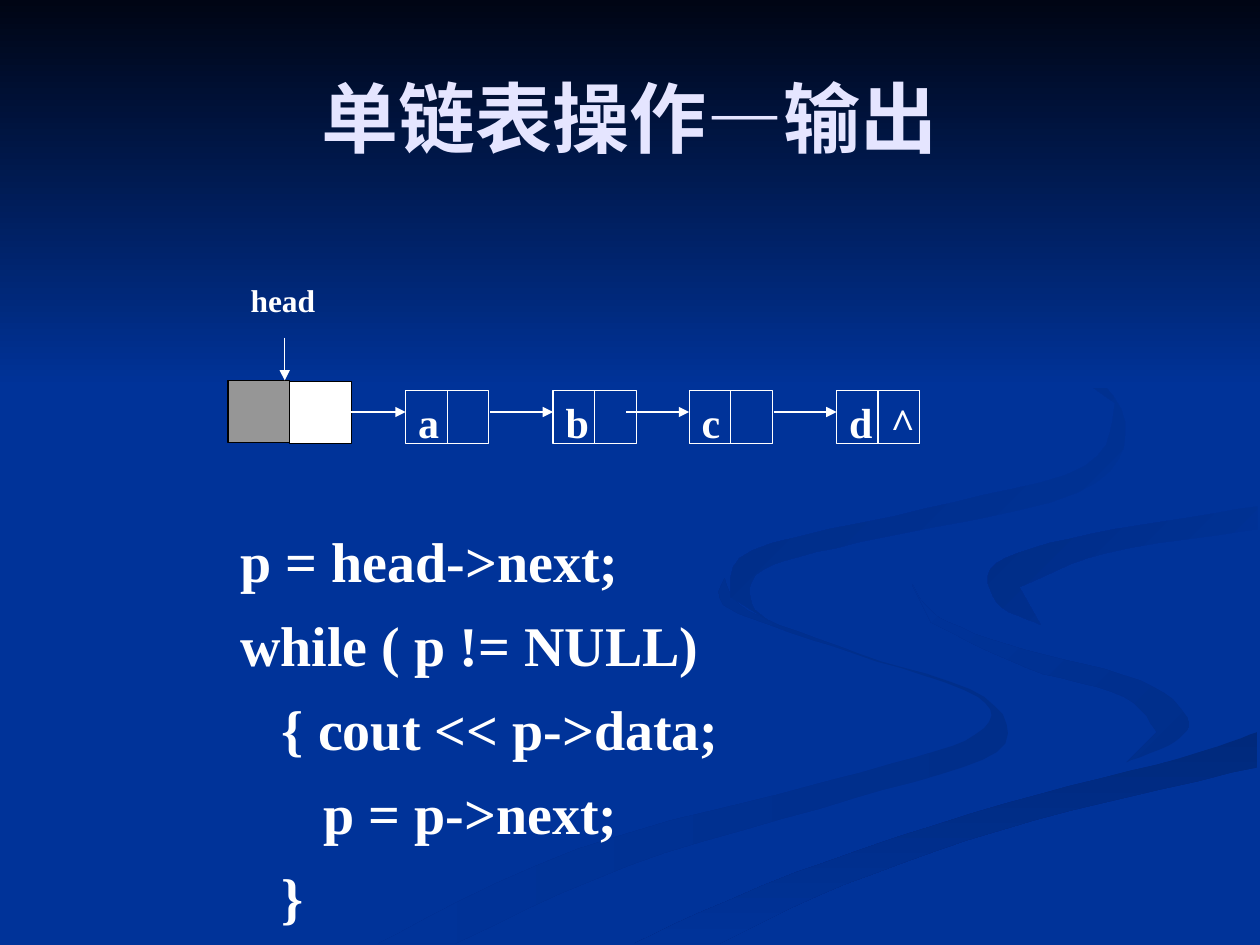
import pptx
import pptx.dml.color
import pptx.enum.shapes
import pptx.enum.text
import pptx.util
from lxml import etree
from pptx.util import Inches

theme = {
    "font": "Times New Roman",
    "blue": "003399", "night": "000514", "title": "E5E5FF",
    "white": "FFFFFF", "black": "000000", "gray": "969696",
    "ribbon_a": "002E8A", "ribbon_b": "00297C",
    "ribbon_c": "002C85", "ribbon_d": "002B81",
    "title_size": 44, "code_size": 32, "node_size": 24, "label_size": 18,
    "line_width": 0.75,
}
rgb = pptx.dml.color.RGBColor.from_string
rectangle = pptx.enum.shapes.MSO_SHAPE.RECTANGLE


def paint(shape, colors, angle=0, line=None):
    """Fill with no colour, one colour or a two-colour gradient."""
    shape.shadow.inherit = False
    if not colors:
        shape.fill.background()
    elif len(colors) == 1:
        shape.fill.solid()
        shape.fill.fore_color.rgb = rgb(theme[colors[0]])
    else:
        shape.fill.gradient()
        shape.fill.gradient_angle = angle
        for stop, color in zip(shape.fill.gradient_stops, colors):
            stop.color.rgb = rgb(theme[color])
    if line:
        shape.line.color.rgb = rgb(theme[line])
        shape.line.width = pptx.util.Pt(theme["line_width"])
    else:
        shape.line.fill.background()


def write(para, text, size, color="white"):
    span = para.add_run()
    span.text = text
    span.font.name = theme["font"]
    span.font.size = pptx.util.Pt(theme[size])
    span.font.bold = True
    span.font.color.rgb = rgb(theme[color])


deck = pptx.Presentation()
deck.slide_width, deck.slide_height = Inches(10), Inches(7.5)
page = deck.slides.add_slide(deck.slide_layouts[5])
page.background.fill.solid()
page.background.fill.fore_color.rgb = rgb(theme["blue"])

# Background ribbons: colours, gradient angle, two edges from tip to tip (inches)
ribbons = [
    (("ribbon_a", "blue"), 180,
     [(5.75, 4.59), (5.94, 4.85), (6.82, 5.19), (7.81, 5.53), (7.91, 5.97),
      (6.76, 6.34), (4.99, 6.87), (3.61, 7.49)],
     [(3, 7.49), (4.58, 6.74), (6.84, 6.13), (7.74, 5.83), (7.76, 5.53),
      (6.79, 5.19), (5.86, 4.87), (5.7, 4.7)]),
    (("ribbon_a", "blue"), 135,
     [(7.24, 4.64), (7.45, 4.9), (8.11, 5.15), (9.05, 5.4), (9.43, 5.7),
      (9.32, 5.89), (8.94, 6.05)],
     [(9.18, 5.81), (8.92, 5.53), (8.15, 5.3), (7.39, 4.94)]),
    (("ribbon_b", "blue"), 270,
     [(5.03, 7.49), (6.3, 6.93), (7.97, 6.38), (9.36, 6.02), (9.98, 5.81)],
     [(9.98, 6.09), (8.21, 6.51), (6.7, 7.02), (5.71, 7.49)]),
    (("blue", "ribbon_c"), 135,
     [(8.26, 4.96), (7.91, 4.78), (7.91, 4.47), (8.65, 4.24), (9.98, 4.02)],
     [(9.98, 4.2), (8.78, 4.39), (8.09, 4.66)]),
    (("blue", "ribbon_d"), 135,
     [(7.62, 2.33), (8.43, 2.75), (8.93, 3.35), (8.55, 3.91), (6.83, 4.3),
      (6.06, 4.52), (5.97, 4.8), (6.22, 5)],
     [(5.8, 4.74), (5.97, 4.37), (7.33, 4.04), (8.61, 3.7), (8.85, 3.2)]),
]
steps = 6
for colors, angle, *edges in ribbons:
    points = []
    for edge in edges:
        # Smooth each edge with a Catmull-Rom curve through its points
        guides = [edge[0], *edge, edge[-1]]
        for quad in zip(guides, guides[1:], guides[2:], guides[3:]):
            for step in range(steps):
                t = step / steps
                points.append([
                    b + t * (c - a + t * (2 * a - 5 * b + 4 * c - d
                                          + t * (3 * b - a - 3 * c + d))) / 2
                    for a, b, c, d in zip(*quad)])
        points.append(edge[-1])
    points = [(x * 100, y * 100) for x, y in points]
    outline = page.shapes.build_freeform(*points[0], scale=Inches(0.01))
    outline.add_line_segments(points[1:], close=True)
    paint(outline.convert_to_shape(), colors, angle)

# Dark band at the top
band = page.shapes.add_shape(rectangle, 0, 0, Inches(10), Inches(3.08))
paint(band, ("night", "blue"), 270)

# Title, brought in front of the background
title = page.shapes.title
title.left, title.top = Inches(0.5), Inches(0.3)
title.width, title.height = Inches(9), Inches(1.25)
title.text_frame.vertical_anchor = pptx.enum.text.MSO_ANCHOR.MIDDLE
title.text_frame.paragraphs[0].alignment = pptx.enum.text.PP_ALIGN.CENTER
write(title.text_frame.paragraphs[0], "单链表操作—输出", "title_size", "title")
page.shapes._spTree.append(title._element)

# Cells of the linked list: left, top, width, height, fill, line
node_lefts = {"a": 3.22, "b": 4.39, "c": 5.47, "d": 6.64}
cell_width, node_top, arrow_y = 0.33, 3.1, 3.27
cells = [(1.81, 3.02, 0.49, 0.49, ("gray",), "black"),
         (2.3, 3.03, 0.49, 0.49, ("white",), "black")]
for left in node_lefts.values():
    for cell_left in (left, left + cell_width):
        cells.append((cell_left, node_top, cell_width, 0.42, (), "white"))
for *frame, colors, line in cells:
    cell = page.shapes.add_shape(rectangle, *map(Inches, frame))
    paint(cell, colors, line=line)

# Arrows: from head, and into each node
arrows = [(2.26, 2.68, 2.26, 3.02)]
arrows += [(left - 0.5, arrow_y, left, arrow_y) for left in node_lefts.values()]
for ends in arrows:
    arrow = page.shapes.add_connector(
        pptx.enum.shapes.MSO_CONNECTOR.STRAIGHT, *map(Inches, ends))
    arrow.line.color.rgb = rgb(theme["white"])
    arrow.line.width = pptx.util.Pt(theme["line_width"])
    tip = etree.SubElement(arrow.line._get_or_add_ln(),
                           pptx.oxml.ns.qn("a:tailEnd"))
    tip.set("type", "triangle")
    etree.SubElement(arrow._element.spPr, pptx.oxml.ns.qn("a:effectLst"))

# Labels: text, left, top, width, size, space before
labels = [("head", 1.89, 2.18, 1.23, "label_size", 0)]
labels += [(name, left, node_top, cell_width, "node_size", 15)
           for name, left in node_lefts.items()]
labels.append(("^", 6.97, node_top, 0.42, "node_size", 15))
for text, left, top, width, size, space in labels:
    box = page.shapes.add_textbox(
        Inches(left), Inches(top), Inches(width), Inches(0.5))
    box.text_frame.word_wrap = True
    para = box.text_frame.paragraphs[0]
    para.space_before = pptx.util.Pt(space)
    write(para, text, size)

# Code, with one left margin step per indent level
code = [(0, "p = head->next;"), (0, "while ( p != NULL)"),
        (1, "{ cout << p->data;"), (2, "p = p->next;"), (1, "}")]
box = page.shapes.add_textbox(Inches(1.81), Inches(4), Inches(5.16), Inches(3.44))
box.text_frame.word_wrap = True
for number, (level, text) in enumerate(code):
    para = (box.text_frame.add_paragraph() if number
            else box.text_frame.paragraphs[0])
    para.line_spacing = 1.25
    para._p.get_or_add_pPr().set("marL", str(Inches(0.33 * level)))
    write(para, text, "code_size")

deck.save("out.pptx")
